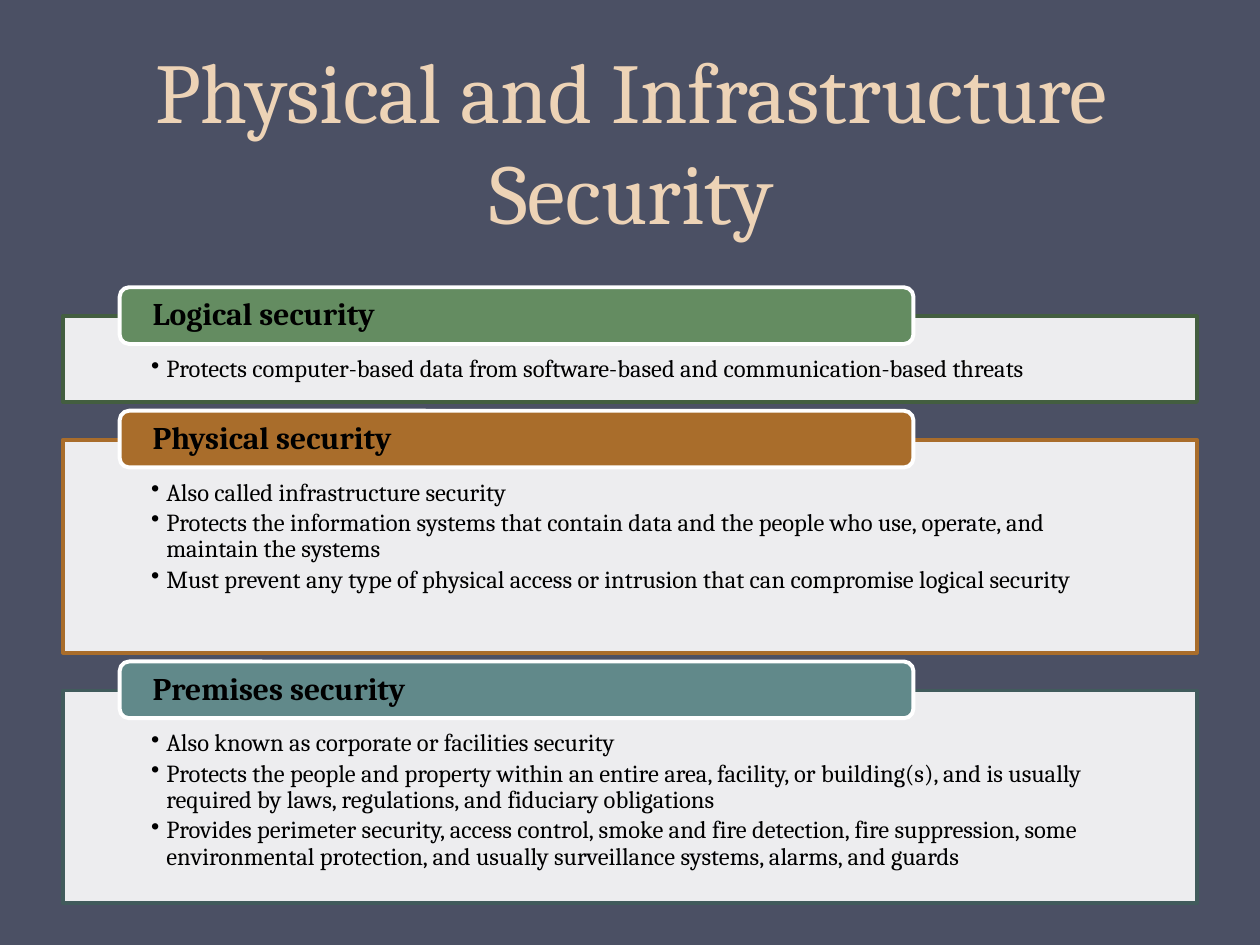
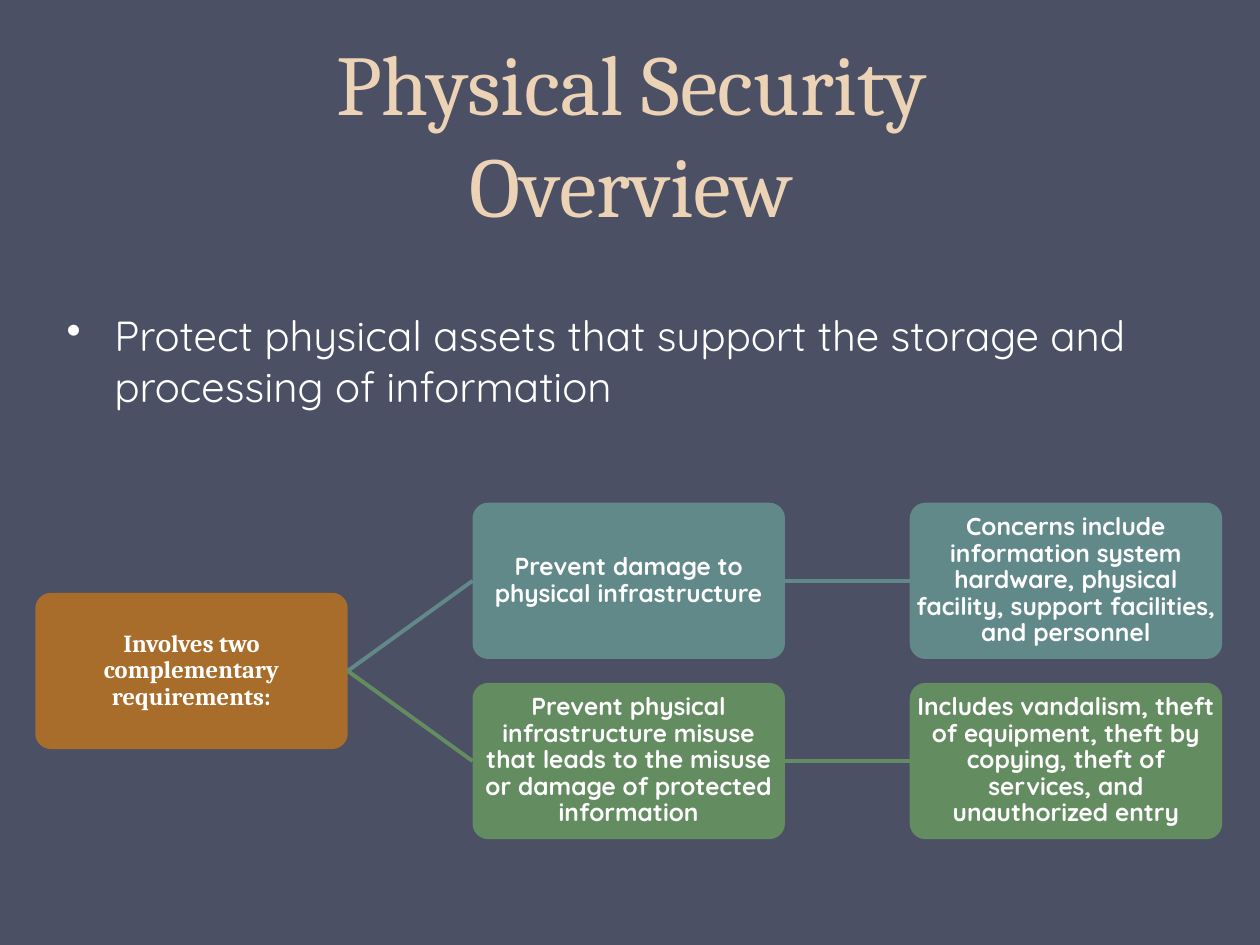
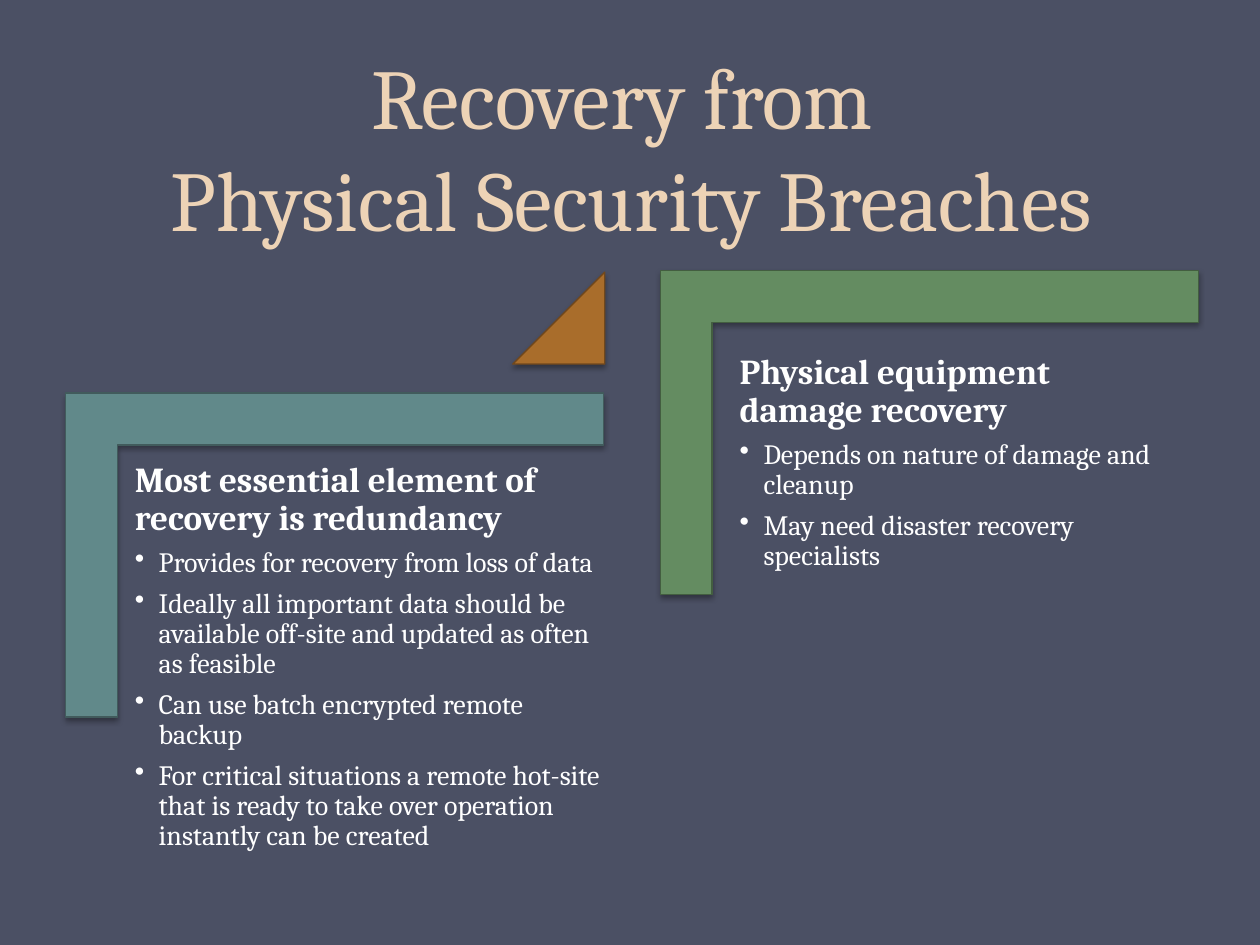
from lxml.etree import SubElement
from pptx import Presentation
from pptx.dml.color import RGBColor
from pptx.enum.shapes import MSO_CONNECTOR, MSO_SHAPE as SHAPE
from pptx.enum.text import MSO_ANCHOR as ANCHOR, MSO_AUTO_SIZE, PP_ALIGN as ALIGN
from pptx.oxml.ns import qn
from pptx.util import Inches, Pt


class Theme:
    background = "4B5064"
    title = "EDD3B6"
    white = "FFFFFF"
    black = "000000"
    green, dark_green = "648C61", "435E40"
    brown, dark_brown = "A96D2B", "71481C"
    teal, dark_teal = "61898A", "415B5C"
    serif, sans = "Cambria", "Quicksand"
    title_size, body_size, head_size = 48.6, 24, 20
    label_size, point_size, small_size = 18, 16, 14
    rule = 2.25
    outline = 0.75


def write(tf, text, size, color=Theme.white, font=Theme.serif, bold=False,
          align=ALIGN.LEFT, spacing=0.9, after=0, indent=0):
    p = tf.paragraphs[0] if not tf.text else tf.add_paragraph()
    p.text = text
    p.alignment = align
    p.line_spacing = spacing
    p.space_before = Pt(0)
    p.space_after = Pt(after)
    if indent:
        pPr = p._p.get_or_add_pPr()
        pPr.set("marL", str(Inches(indent)))
        pPr.set("indent", str(-Inches(indent)))
        SubElement(pPr, qn("a:buChar")).set("char", "•")
    for r in p.runs:
        r.font.size = Pt(size)
        r.font.name = font
        r.font.bold = bold
        r.font.color.rgb = RGBColor.from_string(color)


def box(s, kind, x, y, w, h, fill=None, line=None, weight=Theme.rule,
        insets=(0.1, 0.05, 0.1, 0.05), anchor=ANCHOR.TOP):
    place = [Inches(v) for v in (x, y, w, h)]
    if kind is None:
        sp = s.shapes.add_textbox(*place)
    else:
        sp = s.shapes.add_shape(kind, *place)
        sp.shadow.inherit = False
        sp.fill.solid()
        sp.fill.fore_color.rgb = RGBColor.from_string(fill)
        if line:
            sp.line.color.rgb = RGBColor.from_string(line)
            sp.line.width = Pt(weight)
        else:
            sp.line.fill.background()
    tf = sp.text_frame
    tf.word_wrap = True
    tf.vertical_anchor = anchor
    tf.margin_left, tf.margin_top, tf.margin_right, tf.margin_bottom = map(Inches, insets)
    return sp


prs = Presentation()
prs.slide_width, prs.slide_height = Inches(10), Inches(7.5)
bg = prs.slide_master.background.fill
bg.solid()
bg.fore_color.rgb = RGBColor.from_string(Theme.background)

titles = [
    ("Physical and Infrastructure Security", 0.36, 1.61),
    ("Physical Security\nOverview", 0.36, 1.55),
    ("Recovery from \nPhysical Security Breaches", 0.44, 1.58),
]
slides = []
for text, top, height in titles:
    s = prs.slides.add_slide(prs.slide_layouts[5])
    sp = s.shapes.title
    sp.left, sp.top, sp.width, sp.height = map(Inches, (0.51, top, 9, height))
    tf = sp.text_frame
    tf.word_wrap = True
    tf.auto_size = MSO_AUTO_SIZE.NONE
    tf.vertical_anchor = ANCHOR.BOTTOM
    write(tf, text, Theme.title_size, Theme.title, align=ALIGN.CENTER, spacing=Pt(58))
    slides.append(s)
kinds_slide, overview_slide, recovery_slide = slides

security_kinds = [
    ("Logical security", Theme.green, Theme.dark_green, 0.68, [
        "Protects computer-based data from software-based and communication-based threats",
    ]),
    ("Physical security", Theme.brown, Theme.brown, 1.69, [
        "Also called infrastructure security",
        "Protects the information systems that contain data and the people who use, "
        "operate, and maintain the systems",
        "Must prevent any type of physical access or intrusion that can compromise "
        "logical security",
    ]),
    ("Premises security", Theme.teal, Theme.dark_teal, 1.69, [
        "Also known as corporate or facilities security",
        "Protects the people and property within an entire area, facility, or building(s), "
        "and is usually required by laws, regulations, and fiduciary obligations",
        "Provides perimeter security, access control, smoke and fire detection, fire "
        "suppression, some environmental protection, and usually surveillance systems, "
        "alarms, and guards",
    ]),
]
top = 2.51
for label, color, edge, height, points in security_kinds:
    panel = box(kinds_slide, SHAPE.RECTANGLE, 0.5, top, 9, height, Theme.white, edge,
                insets=(0.7, 0.32, 0.7, 0.11))
    clr = panel.element.spPr.find(qn("a:solidFill")).find(qn("a:srgbClr"))
    SubElement(clr, qn("a:alpha")).set("val", "90000")
    for point in points:
        write(panel.text_frame, point, Theme.small_size, Theme.black, after=2.1, indent=0.12)
    tab = box(kinds_slide, SHAPE.ROUNDED_RECTANGLE, 0.95, top - 0.23, 6.3, 0.45, color,
              Theme.white, insets=(0.24, 0, 0.24, 0), anchor=ANCHOR.MIDDLE)
    write(tab.text_frame, label, Theme.label_size, Theme.black, bold=True)
    top += height + 0.3

body = box(overview_slide, None, 0.43, 2.41, 9.17, 1.08)
write(body.text_frame,
      "Protect physical assets that support the storage and processing of information",
      Theme.body_size, font=Theme.sans, spacing=1.0, indent=0.38)

node_w, node_h, gap_x, gap_y = 2.48, 1.24, 0.99, 0.19
nodes = [
    (0, 0.5, Theme.brown, Theme.serif, "Involves two complementary requirements:"),
    (1, 0, Theme.teal, Theme.sans, "Prevent damage to physical infrastructure"),
    (2, 0, Theme.teal, Theme.sans,
     "Concerns include information system hardware, physical facility, support "
     "facilities, and personnel"),
    (1, 1, Theme.green, Theme.sans,
     "Prevent physical infrastructure misuse that leads to the misuse or damage of "
     "protected information"),
    (2, 1, Theme.green, Theme.sans,
     "Includes vandalism, theft of equipment, theft by copying, theft of services, "
     "and unauthorized entry"),
]
placed = []
for col, row, color, font, text in nodes:
    sp = box(overview_slide, SHAPE.ROUNDED_RECTANGLE, 0.28 + col * (node_w + gap_x),
             3.99 + row * (node_h + gap_y), node_w, node_h, color,
             insets=(0.01, 0.01, 0.01, 0.01), anchor=ANCHOR.MIDDLE)
    sp.adjustments[0] = 0.1
    write(sp.text_frame, text, Theme.small_size, font=font, bold=True, align=ALIGN.CENTER)
    placed.append(sp)
for start, end in [(0, 1), (1, 2), (0, 3), (3, 4)]:
    cx = overview_slide.shapes.add_connector(MSO_CONNECTOR.STRAIGHT, 0, 0, 0, 0)
    cx.begin_connect(placed[start], 3)
    cx.end_connect(placed[end], 1)
    cx.line.color.rgb = RGBColor.from_string(nodes[end][2])
    cx.line.width = Pt(Theme.rule)
    SubElement(cx.element.spPr, qn("a:effectLst"))

left_corner = box(recovery_slide, SHAPE.CORNER, 1.37, 2.27, 2.57, 4.27,
                  Theme.teal, Theme.dark_teal, Theme.outline)
triangle = box(recovery_slide, SHAPE.ISOSCELES_TRIANGLE, 4.07, 2.16, 0.73, 0.73,
               Theme.brown, Theme.dark_brown, Theme.outline)
right_corner = box(recovery_slide, SHAPE.CORNER, 6.09, 1.3, 2.57, 4.27,
                   Theme.green, Theme.dark_green, Theme.outline)
triangle.adjustments[0] = 1
for sp in (left_corner, right_corner):
    sp.rotation = 90
    sp.adjustments[0] = sp.adjustments[1] = 0.16
for sp in (left_corner, triangle, right_corner):
    shadow = SubElement(sp.element.spPr.find(qn("a:effectLst")), qn("a:outerShdw"),
                        blurRad=str(Pt(3.1)), dist=str(Pt(1.8)), dir="5400000",
                        rotWithShape="0")
    clr = SubElement(shadow, qn("a:srgbClr"), val=Theme.black)
    SubElement(clr, qn("a:alpha"), val="35000")

recovery_steps = [
    (0.99, 3.59, 3.86, "Most essential element of recovery is redundancy", [
        "Provides for recovery from loss of data",
        "Ideally all important data should be available off-site and updated as often "
        "as feasible",
        "Can use batch encrypted remote backup",
        "For critical situations a remote hot-site that is ready to take over operation "
        "instantly can be created",
    ]),
    (5.79, 2.73, 3.6, "Physical equipment damage recovery", [
        "Depends on nature of damage and cleanup",
        "May need disaster recovery specialists",
    ]),
]
for left, top, width, heading, points in recovery_steps:
    tf = box(recovery_slide, None, left, top, width, 3.38,
             insets=(0.08, 0.08, 0.08, 0.08)).text_frame
    write(tf, heading, Theme.head_size, bold=True, after=6)
    for point in points:
        write(tf, point, Theme.point_size, after=6, indent=0.19)

prs.save("out.pptx")
